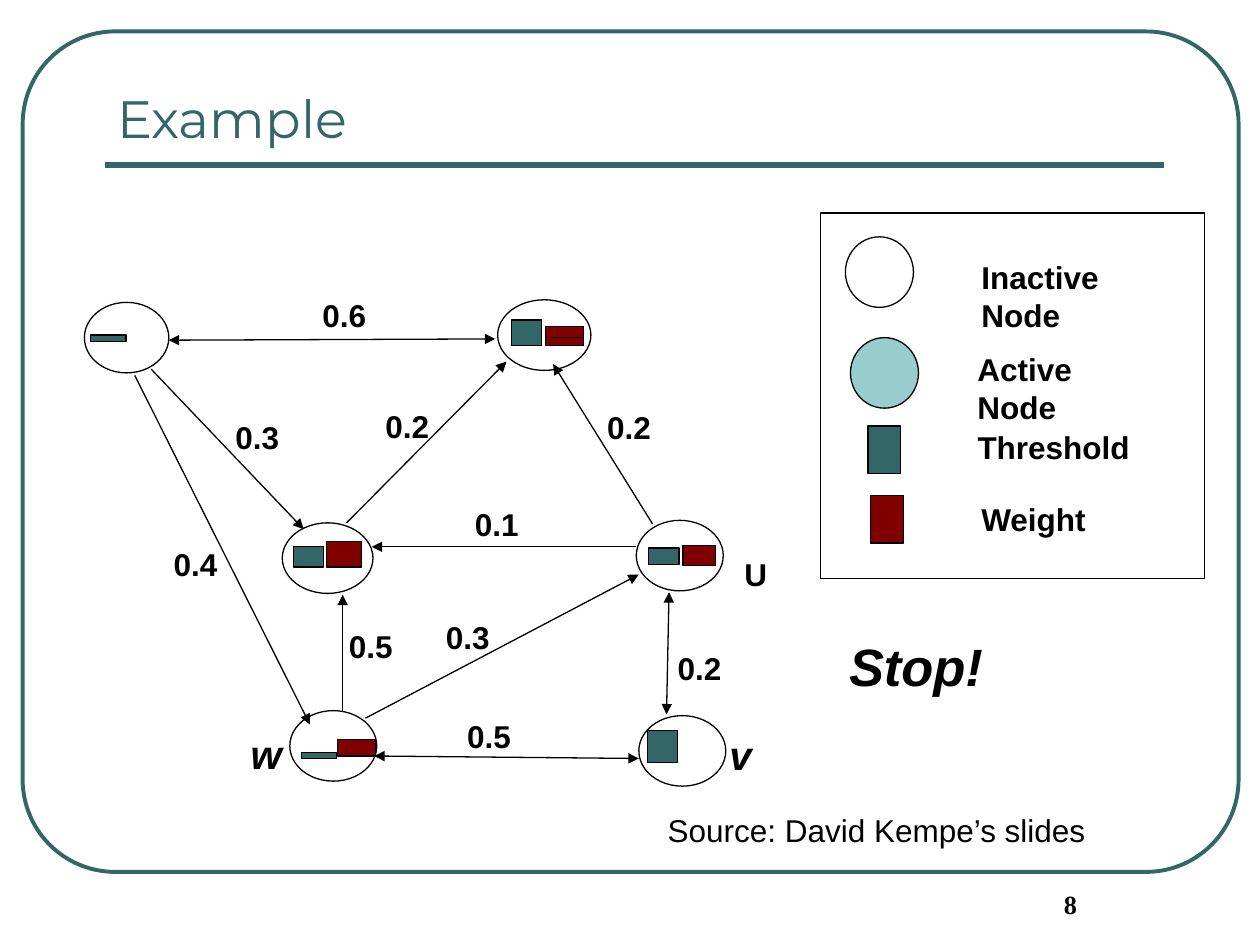
from dataclasses import dataclass

from lxml.etree import SubElement
from pptx import Presentation
from pptx.dml.color import RGBColor
from pptx.enum.shapes import MSO_CONNECTOR as Link, MSO_SHAPE as Shape
from pptx.enum.text import MSO_ANCHOR as Anchor, MSO_AUTO_SIZE as Fit, PP_ALIGN as Align
from pptx.oxml.ns import qn
from pptx.util import Inches, Pt


@dataclass(frozen=True)
class Theme:
    ink: str = "000000"
    teal: str = "336666"
    aqua: str = "97CDCC"
    maroon: str = "800000"
    white: str = "FFFFFF"
    body_font: str = "Arial"
    title_font: str = "Montserrat"
    number_font: str = "Times New Roman"
    title_size: float = 30
    node_size: float = 23
    body_size: float = 18
    number_size: float = 15
    thin: float = 0.75
    frame: float = 2.25
    rule: float = 3


class SlideBuilder:
    def __init__(self, slide, theme):
        self.slide = slide
        self.shapes = slide.shapes
        self.theme = theme

    def add_words(self, frame, words, size, color=None, font=None, bold=True,
                  italic=False, align=Align.LEFT):
        paragraph = frame.paragraphs[0]
        paragraph.alignment = align
        run = paragraph.add_run()
        run.text = words
        styles = {"name": font or self.theme.body_font, "size": Pt(size),
                  "bold": bold, "italic": italic}
        for key, value in styles.items():
            setattr(run.font, key, value)
        run.font.color.rgb = RGBColor.from_string(color or self.theme.ink)

    def title(self, words, *box):
        holder = self.shapes.title
        for key, value in zip(("left", "top", "width", "height"), box):
            setattr(holder, key, Inches(value))
        frame = holder.text_frame
        frame.vertical_anchor = Anchor.BOTTOM
        frame.auto_size = Fit.NONE
        self.add_words(frame, words, self.theme.title_size, self.theme.teal,
                       self.theme.title_font, bold=False)

    def text(self, words, left, top, width, height=0.4, size=None, wrap=True,
             indent=0.1, **style):
        box = self.shapes.add_textbox(*map(Inches, (left, top, width, height)))
        settings = {"word_wrap": wrap, "auto_size": Fit.SHAPE_TO_FIT_TEXT,
                    "margin_left": Inches(indent), "vertical_anchor": Anchor.TOP}
        for key, value in settings.items():
            setattr(box.text_frame, key, value)
        self.add_words(box.text_frame, words, size or self.theme.body_size, **style)

    def shape(self, kind, left, top, width, height, fill=None, line=None, weight=None):
        item = self.shapes.add_shape(kind, *map(Inches, (left, top, width, height)))
        item.shadow.inherit = False
        if fill:
            item.fill.solid()
            item.fill.fore_color.rgb = RGBColor.from_string(fill)
        else:
            item.fill.background()
        item.line.color.rgb = RGBColor.from_string(line or self.theme.ink)
        item.line.width = Pt(weight or self.theme.thin)
        return item

    def line(self, start, end, ends=(), color=None, weight=None):
        link = self.shapes.add_connector(Link.STRAIGHT, *map(Inches, (*start, *end)))
        link.line.color.rgb = RGBColor.from_string(color or self.theme.ink)
        link.line.width = Pt(weight or self.theme.thin)
        properties = link._element.spPr
        outline = properties.find(qn("a:ln"))
        for tag in ends:
            SubElement(outline, qn(f"a:{tag}"), type="triangle")
        SubElement(properties, qn("a:effectLst"))


FORWARD, BACKWARD, BOTH = ("tailEnd",), ("headEnd",), ("headEnd", "tailEnd")


def main():
    deck = Presentation()
    deck.slide_width, deck.slide_height = Inches(10), Inches(7.5)
    theme = Theme()
    page = SlideBuilder(deck.slides.add_slide(deck.slide_layouts[5]), theme)

    # Frame, title and rule
    border = page.shape(Shape.ROUNDED_RECTANGLE, 0.18, 0.25, 9.65, 6.67,
                        line=theme.teal, weight=theme.frame)
    border.adjustments[0] = 0.11
    page.line((0.83, 1.31), (9.24, 1.31), color=theme.teal, weight=theme.rule)
    page.title("Example", 0.83, 0.52, 8.42, 0.71)

    # Legend: symbol and label on each row
    page.shape(Shape.RECTANGLE, 6.51, 1.69, 3.05, 2.9)
    circle, bar = (Shape.OVAL, 0.54, 0.56), (Shape.RECTANGLE, 0.26, 0.38)
    legend = [
        (circle, 6.71, 1.88, theme.white, "Inactive Node", 7.69, 2.0, 1.82),
        (circle, 6.75, 2.68, theme.aqua, "Active Node", 7.66, 2.73, 1.64),
        (bar, 6.89, 3.38, theme.teal, "Threshold", 7.66, 3.35, 1.41),
        (bar, 6.91, 3.93, theme.maroon, "Weight", 7.69, 3.92, 1.03),
    ]
    for (kind, width, height), left, top, fill, label, *place in legend:
        page.shape(kind, left, top, width, height, fill)
        page.text(label, *place, wrap=False)

    # Network nodes: left, top, width, fill
    nodes = [
        (0.67, 2.4, 0.67, theme.white),
        (3.95, 2.38, 0.74, theme.white),
        (2.24, 4.15, 0.72, theme.white),
        (5.05, 4.13, 0.69, theme.white),
        (2.3, 5.64, 0.69, theme.white),
        (5.07, 5.68, 0.69, None),
    ]
    for left, top, width, fill in nodes:
        page.shape(Shape.OVAL, left, top, width, 0.56, fill)

    # Influence edges: start, end, arrowheads, weight and its place
    edges = [
        ((2.97, 6), (5.07, 6.02), BOTH, "0.5", 3.61, 5.64),
        ((2.9, 5.7), (5.07, 4.56), FORWARD, "0.3", 3.44, 4.86),
        ((2.72, 5.64), (2.72, 4.72), FORWARD, "0.5", 2.67, 4.93),
        ((5.05, 4.34), (2.95, 4.34), FORWARD, "0.1", 3.67, 3.96),
        ((1.07, 2.98), (2.46, 5.75), FORWARD, "0.4", 1.28, 4.28),
        ((1.2, 2.93), (2.41, 4.2), FORWARD, "0.3", 1.77, 3.27),
        ((2.75, 4.15), (4.02, 2.87), FORWARD, "0.2", 2.96, 3.18),
        ((1.34, 2.7), (3.93, 2.69), BOTH, "0.6", 2.46, 2.3),
        ((4.39, 2.89), (5.18, 4.16), BACKWARD, "0.2", 4.72, 3.19),
        ((5.31, 4.7), (5.29, 5.67), BOTH, "0.2", 5.28, 5.1),
    ]
    for start, end, ends, weight, left, top in edges:
        page.line(start, end, ends)
        page.text(weight, left, top, 0.67)

    # Threshold and weight bars inside the nodes
    bars = {
        theme.teal: [
            (5.14, 5.8, 0.24, 0.25), (4.06, 2.54, 0.24, 0.2),
            (2.33, 4.34, 0.24, 0.16), (5.15, 4.35, 0.24, 0.13),
            (2.39, 5.97, 0.28, 0.05), (0.72, 2.66, 0.28, 0.05),
        ],
        theme.maroon: [
            (2.68, 5.87, 0.3, 0.13), (5.42, 4.33, 0.26, 0.16),
            (2.59, 4.3, 0.28, 0.2), (4.33, 2.65, 0.3, 0.09),
            (4.33, 2.59, 0.3, 0.09),
        ],
    }
    for fill, boxes in bars.items():
        for box in boxes:
            page.shape(Shape.RECTANGLE, *box, fill)

    # Node names and closing remark
    page.text("v", 5.69, 5.75, 0.34, 0.49, theme.node_size, italic=True)
    page.text("w", 1.89, 5.74, 0.38, 0.49, theme.node_size, italic=True)
    page.text("U", 5.81, 4.36, 0.44)
    page.text("Stop!", 6.64, 4.98, 1.43, 0.6, theme.title_size, italic=True)

    # Source and page number
    page.text("Source: David Kempe’s slides", 5.2, 6.39, 4.13, bold=False)
    page.text("8", 7.5, 7, 1.75, 0.5, theme.number_size, indent=0.34,
              font=theme.number_font, align=Align.CENTER)

    deck.save("out.pptx")


if __name__ == "__main__":
    main()
